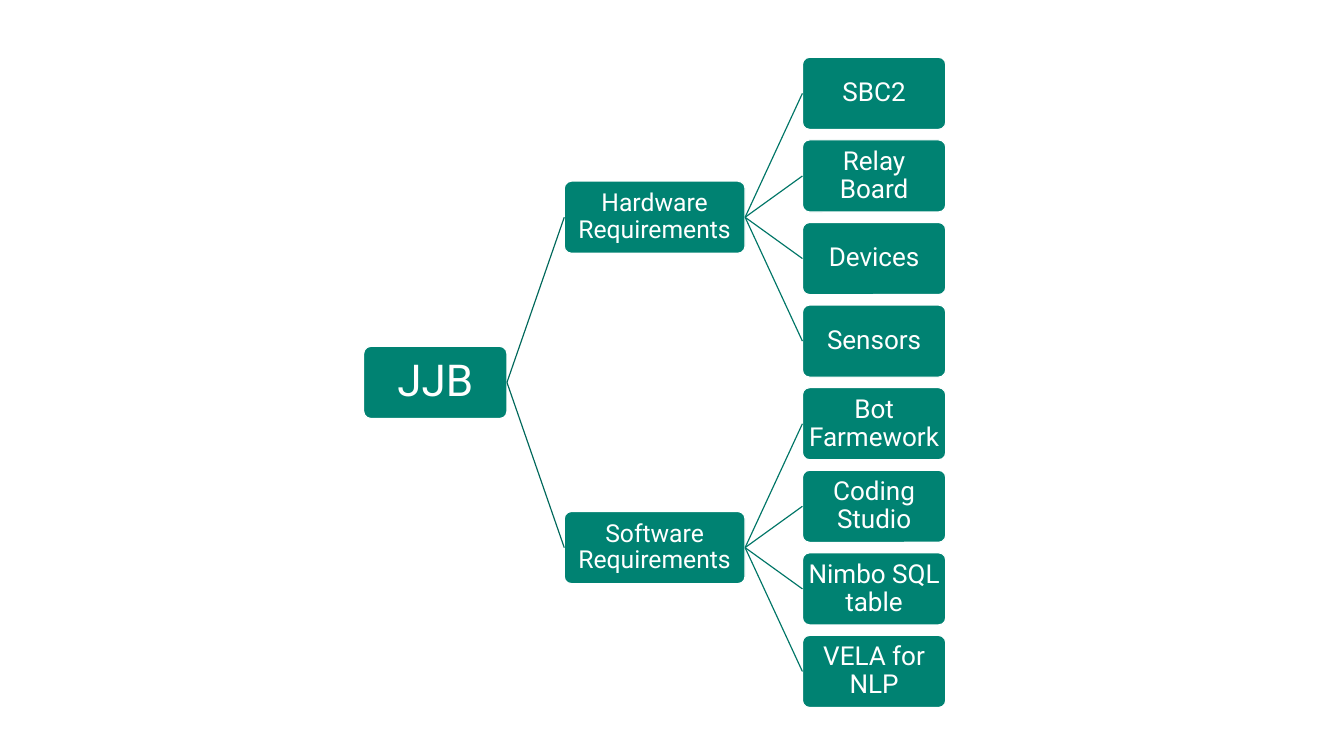
from pptx import Presentation
from pptx import util as u
from pptx.dml.color import RGBColor
from pptx.enum import shapes, text
from pptx.oxml.ns import qn
from lxml import etree

WIDE, HIGH = 13.6, 7.65
NODE_W, TOPIC_W, NODE_H, GAP = 1.45, 1.83, 0.73, 0.58
TOPICS = [
    ("Hardware Requirements", ["SBC2", "Relay Board", "Devices", "Sensors"]),
    ("Software Requirements",
     ["Bot Farmework", "Coding Studio", "Nimbo SQL table", "VELA for NLP"]),
]


def paint(part, color):
    """Set a fill or line format to a solid hex colour."""
    part.solid()
    part.fore_color.rgb = RGBColor.from_string(color)


def add_node(slide, label, left, top, width, size, inset=0.01):
    """Add one rounded box with its centred label."""
    node = slide.shapes.add_shape(
        shapes.MSO_SHAPE.ROUNDED_RECTANGLE,
        *map(u.Inches, (left, top, width, NODE_H)))
    node.adjustments[0] = 0.1
    node.shadow.inherit = False
    paint(node.fill, "008272")
    paint(node.line.fill, "FFFFFF")
    node.line.width = u.Pt(0.85)
    frame = node.text_frame
    frame.word_wrap = True
    frame.vertical_anchor = text.MSO_ANCHOR.MIDDLE
    frame.margin_left = frame.margin_right = u.Inches(inset)
    frame.margin_top = frame.margin_bottom = u.Inches(inset)
    para = frame.paragraphs[0]
    para.alignment = text.PP_ALIGN.CENTER
    para.line_spacing = 0.9
    run = para.add_run()
    run.text = label
    run.font.name = "Roboto"
    run.font.size = u.Pt(size)
    paint(run.font.fill, "FFFFFF")
    return node


def add_link(slide, start, end, color):
    """Join the right side of one node to the left side of another."""
    link = slide.shapes.add_connector(shapes.MSO_CONNECTOR.STRAIGHT, 0, 0, 0, 0)
    link.begin_connect(start, 3)
    link.end_connect(end, 1)
    paint(link.line.fill, color)
    link.line.width = u.Pt(0.85)
    etree.SubElement(link._element.spPr, qn("a:effectLst"))


def add_tree(slide, left, top, height):
    """Draw the tree with evenly spaced leaves and centred parents."""
    count = sum(len(leaves) for _, leaves in TOPICS)
    pitch = (height - NODE_H) / (count - 1)
    mid_x = left + NODE_W + GAP
    leaf_x = mid_x + TOPIC_W + GAP
    root = add_node(slide, "JJB", left, top + (height - NODE_H) / 2,
                    NODE_W, 32, 0.02)
    row = 0
    for name, leaves in TOPICS:
        mid_y = top + (row + (len(leaves) - 1) / 2) * pitch
        topic = add_node(slide, name, mid_x, mid_y, TOPIC_W, 18)
        add_link(slide, root, topic, "00685B")
        for label in leaves:
            leaf = add_node(slide, label, leaf_x, top + row * pitch, NODE_W, 19)
            add_link(slide, topic, leaf, "007667")
            row += 1


def main():
    """Build and save the slide."""
    deck = Presentation()
    deck.slide_width, deck.slide_height = u.Inches(WIDE), u.Inches(HIGH)
    slide = deck.slides.add_slide(deck.slide_layouts[6])
    paint(slide.background.fill, "FFFFFF")
    add_tree(slide, 3.68, 0.58, 6.58)
    deck.save("out.pptx")


if __name__ == "__main__":
    main()
